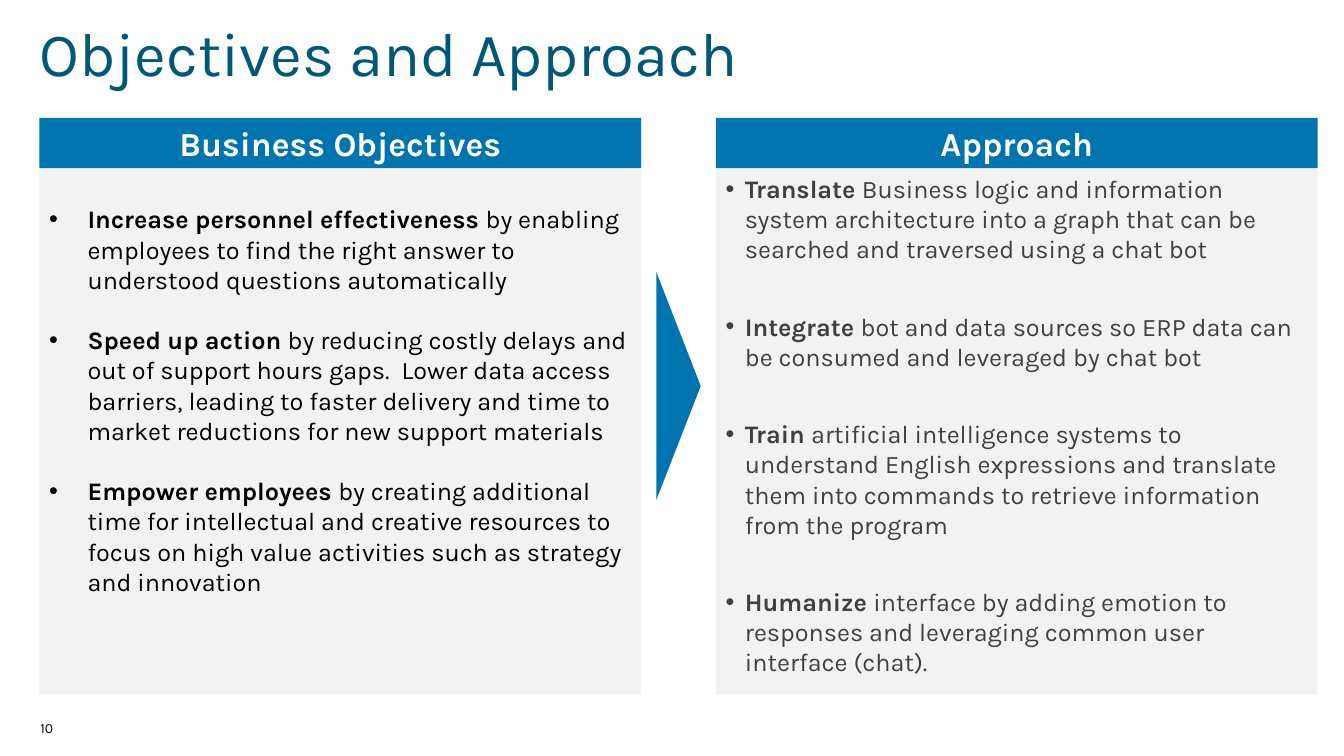
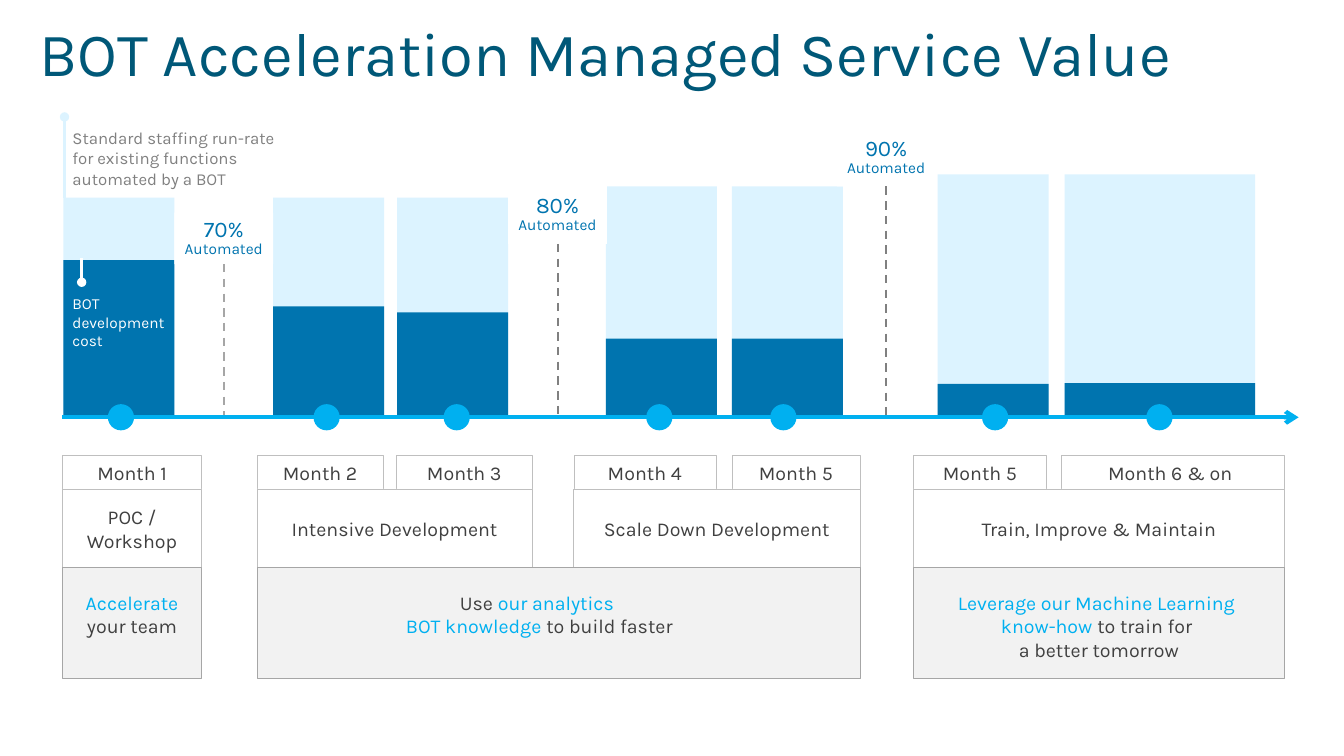
from copy import deepcopy
from dataclasses import dataclass

from lxml.etree import SubElement
from pptx import Presentation
from pptx.dml.color import RGBColor
from pptx.enum.dml import MSO_LINE
from pptx.enum.shapes import MSO_CONNECTOR, MSO_SHAPE
from pptx.enum.text import MSO_ANCHOR, MSO_AUTO_SIZE, PP_ALIGN
from pptx.oxml.ns import qn
from pptx.util import Inches, Pt


@dataclass(frozen=True)
class Theme:
    font: str = "Karla"
    title: str = "005878"
    blue: str = "0074AF"
    sky: str = "00B0F0"
    pale: str = "DCF3FF"
    panel: str = "F2F2F2"
    white: str = "FFFFFF"
    black: str = "000000"
    ink: str = "404040"
    grey: str = "808080"
    dash: str = "A6A6A6"
    border: str = "BFBFBF"
    title_pt: int = 44
    header_pt: int = 24
    body_pt: int = 18
    percent_pt: int = 16
    stage_pt: int = 14
    note_pt: int = 12
    small_pt: int = 11
    page_pt: int = 10


T = Theme()
CELL = 0.1  # grid cell, in inches


@dataclass(frozen=True)
class Box:
    x: float
    y: float
    w: float
    h: float

    def cells(self, col, row, cols, rows):
        """Box placed on the grid that starts at this box's corner."""
        return Box(self.x + col * CELL, self.y + row * CELL, cols * CELL, rows * CELL)

    def point(self, col, row):
        return self.x + col * CELL, self.y + row * CELL

    def emu(self):
        return [Inches(v) for v in (self.x, self.y, self.w, self.h)]


TITLE = Box(0.39, 0.18, 12.55, 0.77)
PAGE_NUMBER = Box(0.4, 7.04, 1.81, 0.36)
PANELS = Box(0.39, 1.17, 12.68, 5.72)
CHART = Box(0.62, 1.16, 12.26, 2.98)
STAGES = Box(0.62, 4.52, 12.12, 2.21)

OBJECTIVES = [
    ("Increase personnel effectiveness ", "by enabling employees to find the right answer to "
     "understood questions automatically"),
    ("Speed up action ", "by reducing costly delays and out of support hours gaps.  Lower data "
     "access barriers, leading to faster delivery and time to market reductions for new "
     "support materials"),
    ("Empower employees ", "by creating additional time for intellectual and creative resources "
     "to focus on high value activities such as strategy and innovation"),
]
APPROACH = [
    ("Translate ", "Business logic and information system architecture into a graph that can be "
     "searched and traversed using a chat bot"),
    ("Integrate ", "bot and data sources so ERP data can be consumed and leveraged by chat bot"),
    ("Train ", "artificial intelligence systems to understand English expressions and translate "
     "them into commands to retrieve information from the program"),
    ("Humanize ", "interface by adding emotion to responses and leveraging common user "
     "interface (chat)."),
]

# Column, columns, rows of standard cost, rows of development cost, milestone column
BARS = [
    (0.1, 11, 21.8, 15.6, 5.8),
    (20.9, 11, 21.8, 11, 26.2),
    (33.2, 11, 21.8, 10.4, 39.1),
    (53.9, 11, 22.9, 7.8, 59.2),
    (66.4, 11, 22.9, 7.8, 71.5),
    (86.8, 11, 24.1, 3.3, 92.5),
    (99.4, 18.9, 24.1, 3.4, 108.8),
]
# Share automated, column, row, rows, colour of the divider
DIVIDERS = [
    ("70% ", 11.1, 9.5, 5.1, T.dash),
    ("80% ", 44.2, 6.8, 5.8, T.grey),
    ("90% ", 76.8, 1.1, 5.8, T.grey),
]
# Name, column, columns
MONTHS = [
    ("Month 1", 0, 13.8), ("Month 2", 19.3, 12.5), ("Month 3", 33.1, 13.5),
    ("Month 4", 50.7, 14.1), ("Month 5", 66.4, 12.7), ("Month 5", 84.4, 13.2),
    ("Month 6 & on ", 99, 22.2),
]
PHASES = [
    ("POC / Workshop", 0, 13.8), ("Intensive Development", 19.3, 27.3),
    ("Scale Down Development", 50.7, 28.4), ("Train, Improve & Maintain", 84.4, 36.8),
]
# Coloured text, column, columns, right inset
TAKEAWAYS = [
    ([("Accelerate ", T.sky), ("your team", T.ink)], 0, 13.8, 0.1),
    ([("Use ", T.ink), ("our analytics \nBOT knowledge ", T.sky),
      ("to build faster", T.ink)], 19.3, 59.8, 0.48),
    ([("Leverage our Machine Learning \nknow-how ", T.sky),
      ("to train for \na better tomorrow", T.ink)], 84.4, 36.8, 0.1),
]


def rgb(color):
    return RGBColor.from_string(color)


def add_runs(p, text, size, color, bold=False):
    """Append text to a paragraph; a newline becomes a line break."""
    for i, line in enumerate(text.split("\n")):
        if i:
            p.add_line_break()
            p._p[-1].append(deepcopy(r._r.get_or_add_rPr()))
        r = p.add_run()
        r.text = line
        r.font.name, r.font.size, r.font.bold = T.font, Pt(size), bold
        r.font.color.rgb = rgb(color)


def set_frame(shape, anchor=MSO_ANCHOR.MIDDLE, insets=(0.1, 0.05, 0.1, 0.05)):
    tf = shape.text_frame
    tf.word_wrap, tf.auto_size, tf.vertical_anchor = True, MSO_AUTO_SIZE.NONE, anchor
    tf.margin_left, tf.margin_top, tf.margin_right, tf.margin_bottom = map(Inches, insets)
    return tf


def add_block(s, box, fill, line=None, kind=MSO_SHAPE.RECTANGLE):
    sp = s.shapes.add_shape(kind, *box.emu())
    sp.shadow.inherit = False
    sp.fill.solid()
    sp.fill.fore_color.rgb = rgb(fill)
    if line:
        sp.line.color.rgb = rgb(line)
        sp.line.width = Pt(0.25)
    else:
        sp.line.fill.background()
    return sp


def write(shape, runs, align=PP_ALIGN.CENTER, **frame):
    """Fill a shape with one paragraph of (text, size, colour[, bold]) runs."""
    p = set_frame(shape, **frame).paragraphs[0]
    p.alignment = align
    for run in runs:
        add_runs(p, *run)
    return p


def add_note(s, box, text, size, color, **frame):
    return write(s.shapes.add_textbox(*box.emu()), [(text, size, color)],
                 align=PP_ALIGN.LEFT, **frame)


def add_line(s, start, end, color, width, tail=None):
    c = s.shapes.add_connector(MSO_CONNECTOR.STRAIGHT, *map(Inches, start + end))
    c.line.color.rgb = rgb(color)
    c.line.width = Pt(width)
    if tail:
        SubElement(c.line._get_or_add_ln(), qn("a:tailEnd"), type=tail)
    SubElement(c._element.spPr, qn("a:effectLst"))
    return c


def add_titled_slide(prs, title):
    s = prs.slides.add_slide(prs.slide_layouts[5])
    sp = s.shapes.title
    sp.left, sp.top, sp.width, sp.height = TITLE.emu()
    p = write(sp, [(title, T.title_pt, T.title)], PP_ALIGN.LEFT, insets=(0, 0.05, 0, 0.05))
    p.line_spacing = 0.9
    return s


def add_panel(s, box, header, items, color, indent, gap, top):
    """Header band above a bulleted list."""
    band = add_block(s, box.cells(0, 0, box.w / CELL, 5), T.blue)
    write(band, [(header, T.header_pt, T.white, True)])
    body = add_block(s, box.cells(0, 5, box.w / CELL, box.h / CELL - 5), T.panel)
    tf = set_frame(body, MSO_ANCHOR.TOP, (0.1, top, 0.1, 0.05))
    for i, (lead, rest) in enumerate(items):
        p = tf.add_paragraph() if i else tf.paragraphs[0]
        p.alignment = PP_ALIGN.LEFT
        if i:
            p.space_before = Pt(gap)
        pPr = p._p.get_or_add_pPr()
        pPr.set("marL", str(Inches(indent)))
        pPr.set("indent", str(-Inches(indent)))
        SubElement(pPr, qn("a:buFont"), typeface="Arial")
        SubElement(pPr, qn("a:buChar"), char="•")
        add_runs(p, lead, T.body_pt, color, True)
        add_runs(p, rest, T.body_pt, color)


def add_panels(s, box):
    """Two panels with a pointer in the gap between them."""
    width, gap = 59.7, 7.4
    rows = box.h / CELL
    add_panel(s, box.cells(0, 0, width, rows), "Business Objectives", OBJECTIVES,
              T.black, 0.38, 21.5, 0.35)
    add_panel(s, box.cells(width + gap, 0, width, rows), "Approach", APPROACH,
              T.ink, 0.19, 33.5, 0.05)
    long, short = 22.6, 4.4
    pointer = box.cells(width + (gap - long) / 2, 26.6 - short / 2, long, short)
    add_block(s, pointer, T.blue, kind=MSO_SHAPE.ISOSCELES_TRIANGLE).rotation = 90


def add_cost_chart(s, box):
    """Cost bars on a time axis, with dividers and milestones."""
    base = box.h / CELL
    for col, cols, standard, cost, _ in BARS:
        add_block(s, box.cells(col, base - standard, cols, standard), T.pale)
        add_block(s, box.cells(col, base - cost, cols, cost), T.blue)

    # Automation shares
    for share, col, row, rows, color in DIVIDERS:
        label = add_block(s, box.cells(col, row, 9.8, rows), T.white)
        p = write(label, [(share, T.percent_pt, T.blue), ("Automated", T.small_pt, T.blue)],
                  insets=(0.1, 0, 0.1, 0))
        p.line_spacing = 0.85
        mid = col + 4.9
        c = add_line(s, box.point(mid, row + rows), box.point(mid, base), color, 1.5)
        c.begin_connect(label, 2)
        c.line.dash_style = MSO_LINE.DASH

    # Callouts
    add_note(s, box.cells(0, 0.6, 23, 7),
             "Standard staffing run-rate for existing functions automated by a BOT",
             T.note_pt, T.grey)
    add_line(s, box.point(0.2, 8), box.point(0.2, 0), T.pale, 2.25, "oval")
    add_note(s, box.cells(0, 17.1, 11.3, 6.6), "BOT development cost",
             T.small_pt, T.white, anchor=MSO_ANCHOR.TOP)
    add_line(s, box.point(1.9, 14), box.point(1.9, 16.4), T.white, 2.25, "oval")

    # Time axis and milestones
    add_line(s, box.point(0, base), box.point(box.w / CELL, base), T.sky, 3, "arrow")
    dot = 2.6
    for *_, mid in BARS:
        add_block(s, box.cells(mid - dot / 2, base - dot / 2, dot, dot), T.sky,
                  kind=MSO_SHAPE.OVAL)


def add_stages(s, box):
    """Rows of months, phases and takeaways."""
    for row, rows, entries in ((0, 3.4, MONTHS), (3.3, 7.9, PHASES)):
        for name, col, cols in entries:
            cell = add_block(s, box.cells(col, row, cols, rows), T.white, T.border)
            write(cell, [(name, T.stage_pt, T.ink)])
    for parts, col, cols, right in TAKEAWAYS:
        cell = add_block(s, box.cells(col, 11.1, cols, 11), T.panel, T.dash)
        write(cell, [(text, T.stage_pt, color) for text, color in parts],
              anchor=MSO_ANCHOR.TOP, insets=(0.1, 0.23, right, 0.1))


def main():
    prs = Presentation()
    prs.slide_width, prs.slide_height = Inches(13.33), Inches(7.5)

    s = add_titled_slide(prs, "Objectives and Approach")
    add_panels(s, PANELS)
    add_note(s, PAGE_NUMBER, "10", T.page_pt, T.black, insets=(0, 0.05, 0.1, 0.05))

    s = add_titled_slide(prs, "BOT Acceleration Managed Service Value")
    add_cost_chart(s, CHART)
    add_stages(s, STAGES)

    prs.save("out.pptx")


if __name__ == "__main__":
    main()
